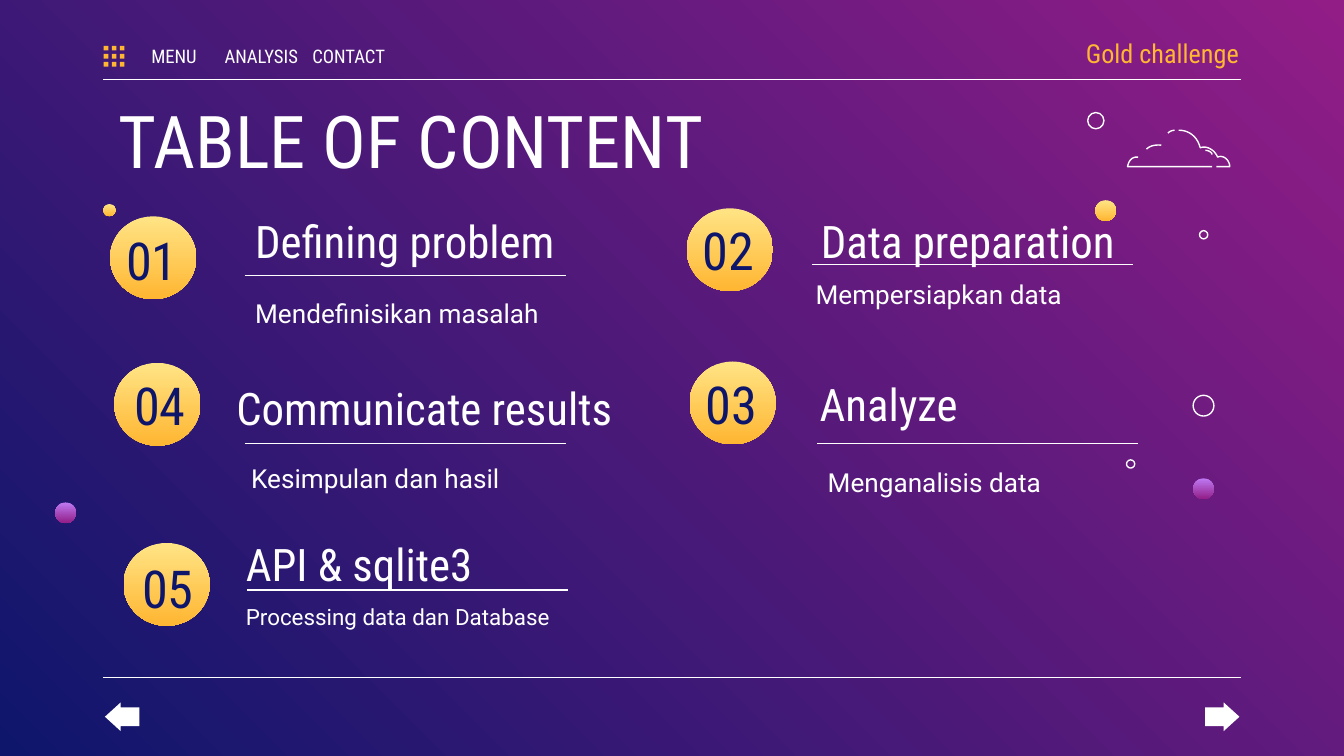
from dataclasses import dataclass
from itertools import product

from lxml import etree
from pptx import Presentation
from pptx.dml.color import RGBColor
from pptx.enum.shapes import MSO_CONNECTOR, MSO_SHAPE
from pptx.enum.text import MSO_ANCHOR, MSO_AUTO_SIZE, PP_ALIGN
from pptx.oxml.ns import qn
from pptx.util import Pt

LINE = MSO_CONNECTOR.STRAIGHT
OVAL, RECT = MSO_SHAPE.OVAL, MSO_SHAPE.RECTANGLE
BACK, NEXT = MSO_SHAPE.LEFT_ARROW, MSO_SHAPE.RIGHT_ARROW
TOP, MID = MSO_ANCHOR.TOP, MSO_ANCHOR.MIDDLE
LEFT, MIDST, RIGHT = PP_ALIGN.LEFT, PP_ALIGN.CENTER, PP_ALIGN.RIGHT
FIXED = MSO_AUTO_SIZE.NONE


@dataclass(frozen=True)
class Theme:
    white: str = "FFFFFF"
    navy: str = "0E166C"
    gold: str = "FFB632"
    night: tuple = ("921D87", "0E166C")
    sun: tuple = ("FFE485", "FFB632")
    plum: tuple = ("BE7AF3", "921D87")
    head: str = "Roboto Condensed"
    body: str = "Roboto"
    title: int = 39
    number: int = 28
    topic: int = 24
    note: int = 14
    small: int = 12
    menu: int = 10
    stroke: float = 0.75


T = Theme()

# Number, topic, note, note size, then corners of disc, number, topic, rule, note
TOPICS = [
    ("01", "Defining problem", "Mendefinisikan masalah", T.note,
     (59, 115.9), (56.2, 125.3), (129.6, 107.3), (131, 147.6), (129.6, 151.9)),
    ("02", "Data preparation", "Mempersiapkan data", T.note,
     (367.9, 111.6), (365, 120.2), (432.7, 107.3), (434.9, 141.8), (429.8, 141.8)),
    ("03", "Analyze", "Menganalisis data", T.note,
     (369.4, 193.7), (366.5, 202.3), (432, 194.4), (437.8, 237.6), (436.3, 242.6)),
    ("04", "Communicate results", "Kesimpulan dan hasil", T.note,
     (61.2, 194.4), (60.5, 203), (119.5, 196.6), (131, 237.6), (127.4, 240.5)),
    ("05", "API & sqlite3", "Processing data dan Database", T.small,
     (66.2, 290.9), (64.8, 301), (124.6, 280.1), (132.5, 316.1), (124.6, 316.1)),
]

# Left, top, size
BALLS = [(586.8, 107.3, 11.1, T.sun), (55.4, 109.4, 6.5, T.sun),
         (639.2, 256.3, 11.1, T.plum), (29.6, 269.2, 11.1, T.plum)]
RINGS = [(582.7, 60.3, 8.7), (639.2, 211.8, 11.1), (642.6, 123.6, 4.4), (603.5, 246.4, 4.4)]

# Each stroke is a start point, then the control points of its curves
CLOUD = [
    [(631.4, 69.8), [(637.2, 69.8), (641.5, 73.4), (643, 79.2)],
     [(646.6, 77.8), (650.9, 80.6), (652.3, 84.2)],
     [(655.2, 82.8), (658.8, 85.7), (658.8, 89.3)], [(651.6, 89.3)]],
    [(629.3, 69.8), [(629.3, 69.8), (627.1, 69.8), (625.7, 71.3)]],
    [(649.4, 89.3), [(604.1, 89.3)], [(604.1, 89.3), (604.8, 83.5), (609.8, 84.2)]],
    [(645.8, 80.6), [(645.8, 80.6), (648.7, 80.6), (649.4, 82.8)]],
    [(622.1, 77.8), [(622.1, 77.8), (617, 77), (614.2, 79.9)]],
]


def paint(fill, tint, angle=270):
    """Fill with one colour, a pair of colours, or nothing."""
    if tint is None:
        fill.background()
    elif isinstance(tint, tuple):
        fill.gradient()
        fill.gradient_angle = angle
        for stop, shade in zip(fill.gradient_stops, tint):
            stop.color.rgb = RGBColor.from_string(shade)
    else:
        fill.solid()
        fill.fore_color.rgb = RGBColor.from_string(tint)


def ink(line):
    paint(line.fill, T.white)
    line.width = Pt(T.stroke)


def place(shape, box):
    shape.left, shape.top, shape.width, shape.height = map(Pt, box)


def write(shape, words, size, tint=T.white, font=T.head, align=LEFT, anchor=TOP, pads=(7.2, 7.2)):
    frame = shape.text_frame
    frame.word_wrap, frame.auto_size = True, FIXED
    frame.vertical_anchor = anchor
    frame.margin_left, frame.margin_right = map(Pt, pads)
    frame.margin_top = frame.margin_bottom = Pt(7.2)
    frame.text = words
    para = frame.paragraphs[0]
    para.alignment = align
    para.font.name, para.font.size = font, Pt(size)
    para.font.color.rgb = RGBColor.from_string(tint)


def label(slide, words, box, size, **look):
    write(slide.shapes.add_textbox(*map(Pt, box)), words, size, **look)


def form(slide, kind, box, tint=None):
    """Add a preset shape; without a tint it is an outline."""
    shape = slide.shapes.add_shape(kind, *map(Pt, box))
    shape.shadow.inherit = False
    paint(shape.fill, tint)
    if tint is None:
        ink(shape.line)
    else:
        shape.line.fill.background()
    return shape


def rule(slide, x, y, width):
    line = slide.shapes.add_connector(LINE, Pt(x), Pt(y), Pt(x + width), Pt(y))
    ink(line.line)
    etree.SubElement(line._element.spPr, qn("a:effectLst"))


def bend(pts, t):
    """Point at t on the curve with these control points."""
    while len(pts) > 1:
        pts = [(a + (c - a) * t, b + (d - b) * t) for (a, b), (c, d) in zip(pts, pts[1:])]
    return pts[0]


def curve(slide, start, parts, steps=10):
    pts = [start]
    for part in parts:
        ctrl = [pts[-1], *part]
        pts += [bend(ctrl, i / steps) for i in range(1, steps + 1)]
    pts = [(Pt(x), Pt(y)) for x, y in pts]
    pen = slide.shapes.build_freeform(*pts[0], scale=1.0)
    pen.add_line_segments(pts[1:], close=False)
    shape = pen.convert_to_shape()
    shape.shadow.inherit = False
    shape.fill.background()
    ink(shape.line)


def topic(slide, num, name, note, size, disc, spot, head, bar, foot):
    form(slide, OVAL, (*disc, 46.2, 44.4), T.sun)
    label(slide, num, (*spot, 50.4, 27.4), T.number, tint=T.navy, align=MIDST, anchor=MID)
    label(slide, name, (*head, 223.2, 34.6), T.topic)
    rule(slide, *bar, 172)
    label(slide, note, (*foot, 217.4, 40), size, font=T.body)


def header(slide):
    for col, row in product(range(3), repeat=2):
        form(slide, RECT, (55.6 + 4.3 * col, 24.6 + 4.3 * row, 2.5, 2.5), T.gold)
    for i, word in enumerate(("MENU", "ANALYSIS", "CONTACT")):
        label(slide, word, (72.7 + 46.8 * i, 21.6, 41, 16.6), T.menu,
              align=MIDST, anchor=MID, pads=(0, 0))
    label(slide, "Gold challenge", (555.8, 16.6, 108, 23.8), T.note,
          tint=T.gold, align=RIGHT, anchor=MID, pads=(7.2, 0))


def main():
    deck = Presentation()
    deck.slide_width, deck.slide_height = Pt(720), Pt(405)
    slide = deck.slides.add_slide(deck.slide_layouts[5])
    paint(slide.background.fill, T.night, 225)

    # Frame and title
    for y in (42.5, 362.9):
        rule(slide, 55.4, y, 609.2)
    header(slide)
    title = slide.shapes.title
    place(title, (56.2, 43.9, 607.7, 47.5))
    write(title, "TABLE OF CONTENT", T.title)

    # Topics
    for item in TOPICS:
        topic(slide, *item)

    # Decoration
    for x, y, size, tint in BALLS:
        form(slide, OVAL, (x, y, size, size), tint)
    for x, y, size in RINGS:
        form(slide, OVAL, (x, y, size, size))
    for start, *parts in CLOUD:
        curve(slide, start, parts)

    # Page arrows
    for kind, x in ((BACK, 56.2), (NEXT, 645.6)):
        arrow = form(slide, kind, (x, 376.3, 18.4, 15.4), T.white)
        arrow.adjustments[0], arrow.adjustments[1] = 0.66, 0.55

    deck.save("out.pptx")


if __name__ == "__main__":
    main()
